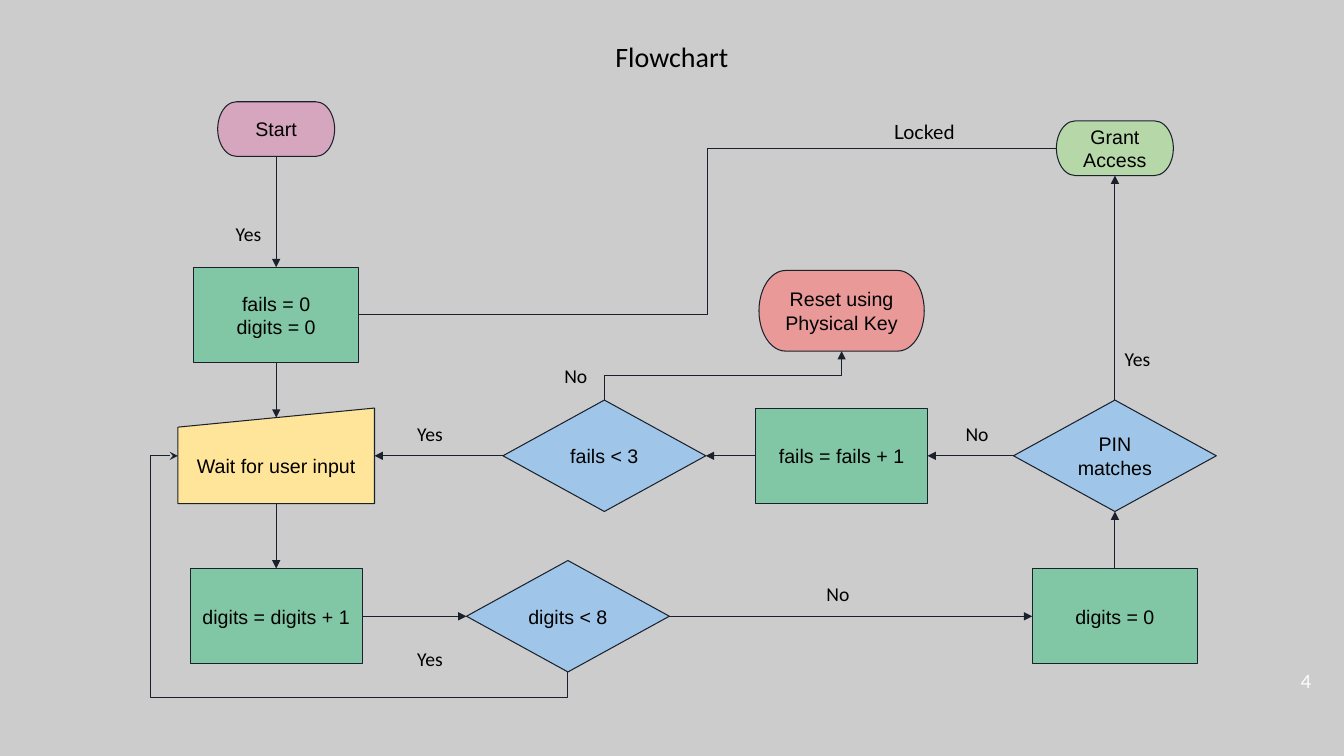
"""Build the flowchart slide of a PIN lock."""
import math

from lxml import etree
from pptx import Presentation
from pptx import util as u
from pptx.dml.color import RGBColor
from pptx.enum import shapes, text
from pptx.oxml.ns import qn

COLOURS = {
    "background": "CCCCCC", "line": "1B212C", "text": "000000",
    "number": "FFFFFF", "start": "D5A6BD", "process": "82C7A5",
    "input": "FFE599", "decision": "9FC5E8", "granted": "B6D7A8",
    "reset": "EA9999",
}
SHAPE = shapes.MSO_SHAPE
ALIGN = text.PP_ALIGN
ANCHOR = text.MSO_ANCHOR
TOP, LEFT, BOTTOM, RIGHT = range(4)


class Flowchart:
    """Hold the style and the current slide, and draw each kind of element."""

    def __init__(self, presentation):
        self.slide = presentation.slides.add_slide(presentation.slide_layouts[5])
        fill = self.slide.background.fill
        fill.solid()
        fill.fore_color.rgb = self.colour("background")

    def colour(self, name):
        return RGBColor.from_string(COLOURS[name])

    def set_text(self, shape, words, size=14, font="Calibri", align=ALIGN.LEFT,
                 anchor=ANCHOR.TOP, inset=7.2, colour="text"):
        frame = shape.text_frame
        frame.text = words
        frame.word_wrap = True
        frame.vertical_anchor = anchor
        frame.margin_left = frame.margin_right = u.Pt(inset)
        frame.margin_top = frame.margin_bottom = u.Pt(inset)
        for paragraph in frame.paragraphs:
            paragraph.alignment = align
            paragraph.font.size = u.Pt(size)
            paragraph.font.name = font
            paragraph.font.color.rgb = self.colour(colour)

    def title(self, words, left, top, width, height):
        shape = self.slide.shapes.title
        shape.left, shape.top = u.Pt(left), u.Pt(top)
        shape.width, shape.height = u.Pt(width), u.Pt(height)
        self.set_text(shape, words, 20, align=ALIGN.CENTER)
        shape.text_frame.auto_size = text.MSO_AUTO_SIZE.NONE

    def label(self, words, left, top, width=35.3, height=31.7, **style):
        box = self.slide.shapes.add_textbox(
            u.Pt(left), u.Pt(top), u.Pt(width), u.Pt(height))
        self.set_text(box, words, **style)

    def node(self, kind, words, centre_x, centre_y, width, height, fill):
        shape = self.slide.shapes.add_shape(
            kind, u.Pt(centre_x - width / 2), u.Pt(centre_y - height / 2),
            u.Pt(width), u.Pt(height))
        shape.shadow.inherit = False
        shape.fill.solid()
        shape.fill.fore_color.rgb = self.colour(fill)
        shape.line.color.rgb = self.colour("line")
        shape.line.width = u.Pt(0.75)
        self.set_text(shape, words, font="Arial", align=ALIGN.CENTER,
                      anchor=ANCHOR.MIDDLE)
        return shape

    def process(self, words, centre_x, centre_y, width=118.1):
        return self.node(SHAPE.FLOWCHART_PROCESS, words, centre_x, centre_y,
                         width, 68.2, "process")

    def decision(self, words, centre_x, centre_y):
        return self.node(SHAPE.FLOWCHART_DECISION, words, centre_x, centre_y,
                         144.9, 79.6, "decision")

    def terminator(self, words, centre_x, centre_y, fill, width=83.5, height=39):
        return self.node(SHAPE.FLOWCHART_TERMINATOR, words, centre_x, centre_y,
                         width, height, fill)

    def side(self, shape, site):
        across, down = [(0.5, 0), (0, 0.5), (0.5, 1), (1, 0.5)][site]
        return shape.left + shape.width * across, shape.top + shape.height * down

    def connector(self, kind, begin, end, head):
        line = self.slide.shapes.add_connector(
            kind, *(u.Emu(round(value)) for value in (*begin, *end)))
        line.line.color.rgb = self.colour("line")
        line.line.width = u.Pt(0.75)
        properties = line._element.spPr
        if head:
            etree.SubElement(properties.find(qn("a:ln")), qn("a:tailEnd"), type=head)
        etree.SubElement(properties, qn("a:effectLst"))
        return line

    def arrow(self, source, source_site, target, target_site):
        line = self.connector(
            shapes.MSO_CONNECTOR.STRAIGHT, self.side(source, source_site),
            self.side(target, target_site), "triangle")
        line.begin_connect(source, source_site)
        line.end_connect(target, target_site)
        return line

    def elbow(self, source, source_site, target, target_site, turn=0,
              bends=(0.5,), head=None):
        begin = self.side(source, source_site)
        end = self.side(target, target_site)
        middle_x, middle_y = ((a + b) / 2 for a, b in zip(begin, end))
        cosine = math.cos(math.radians(turn))
        sine = math.sin(math.radians(turn))

        def unturned(point):
            x, y = point[0] - middle_x, point[1] - middle_y
            return (middle_x + x * cosine + y * sine,
                    middle_y - x * sine + y * cosine)

        line = self.connector(shapes.MSO_CONNECTOR.ELBOW, unturned(begin),
                              unturned(end), head)
        properties = line._element.spPr
        properties.find(qn("a:xfrm")).set("rot", str(turn * 60000))
        geometry = properties.find(qn("a:prstGeom"))
        geometry.set("prst", f"bentConnector{len(bends) + 2}")
        guides = geometry.find(qn("a:avLst"))
        for number, bend in enumerate(bends, 1):
            etree.SubElement(guides, qn("a:gd"), name=f"adj{number}",
                             fmla=f"val {round(bend * 100000)}")


def main():
    presentation = Presentation()
    presentation.slide_width = u.Pt(960)
    presentation.slide_height = u.Pt(540)
    chart = Flowchart(presentation)
    chart.title("Flowchart", 259.2, 20.9, 441.4, 38.9)

    first, last, middle = 197.3, 796.4, 601.2
    check_row, digit_row = 325.6, 440.2

    start = chart.terminator("Start", first, 92.2, "start")
    setup = chart.process("fails = 0\ndigits = 0", first, 225)
    wait = chart.node(SHAPE.FLOWCHART_MANUAL_INPUT, "Wait for user input",
                      first, check_row, 140.4, 68.2, "input")
    count_digit = chart.process("digits = digits + 1", first, digit_row, 122.6)
    digits_left = chart.decision("digits < 8", 405.7, digit_row)
    clear_digits = chart.process("digits = 0", last, digit_row)
    pin_matches = chart.decision("PIN matches", last, check_row)
    count_fail = chart.process("fails = fails + 1", middle, check_row, 122.6)
    fails_left = chart.decision("fails < 3", 431.7, check_row)
    granted = chart.terminator("Grant Access", last, 105.9, "granted")
    reset = chart.terminator("Reset using Physical Key", middle, 222, "reset",
                             118.1, 57.6)

    chart.arrow(start, BOTTOM, setup, TOP)
    to_input = chart.arrow(setup, BOTTOM, wait, TOP)
    to_input.end_y = wait.top + wait.height // 10
    chart.arrow(wait, BOTTOM, count_digit, TOP)
    chart.arrow(count_digit, RIGHT, digits_left, LEFT)
    chart.arrow(digits_left, RIGHT, clear_digits, LEFT)
    chart.arrow(clear_digits, TOP, pin_matches, BOTTOM)
    chart.arrow(pin_matches, TOP, granted, BOTTOM)
    chart.arrow(pin_matches, LEFT, count_fail, RIGHT)
    chart.arrow(count_fail, LEFT, fails_left, RIGHT)
    chart.arrow(fails_left, LEFT, wait, RIGHT)

    chart.elbow(digits_left, BOTTOM, wait, LEFT, 90, (-0.12, 1.07), "stealth")
    chart.elbow(fails_left, TOP, reset, BOTTOM, 270, head="triangle")
    chart.elbow(granted, LEFT, setup, RIGHT)

    for words, left, top in [
        ("Yes", 161.3, 151.2), ("No", 583.2, 408.2), ("Yes", 290.9, 455),
        ("Yes", 796.3, 240.5), ("No", 682.6, 294.5), ("Yes", 290.9, 294.5),
        ("No", 396, 252.7),
    ]:
        chart.label(words, left, top)
    chart.label("Locked", 622.8, 78.5, 74.9, font="Lato", align=ALIGN.CENTER)
    chart.label("4", 888.5, 465.8, 57.6, 41, size=13, font="Lato",
                align=ALIGN.RIGHT, anchor=ANCHOR.MIDDLE, inset=9.4,
                colour="number")
    presentation.save("out.pptx")


if __name__ == "__main__":
    main()
